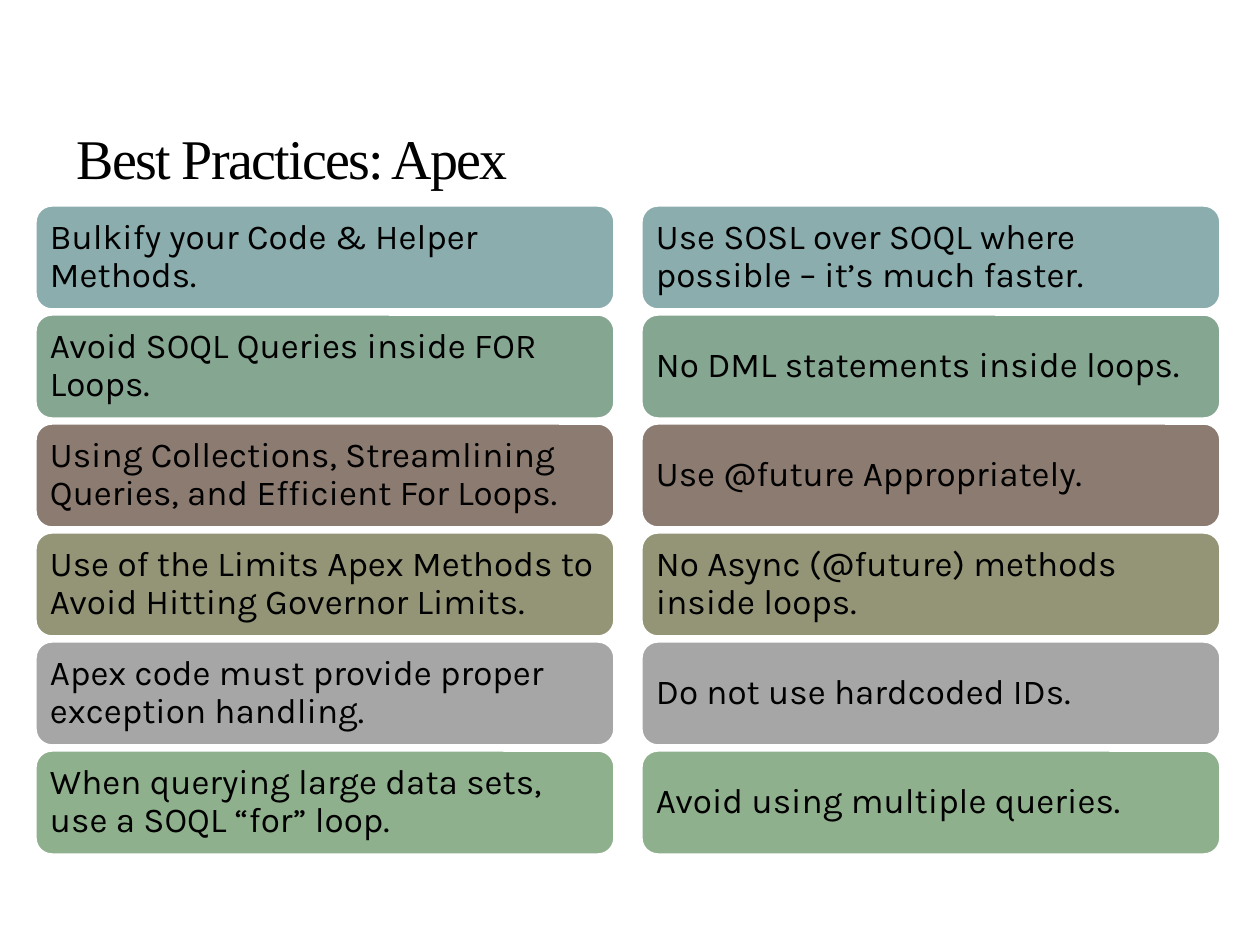
from dataclasses import dataclass

from pptx import Presentation
from pptx.dml.color import RGBColor
from pptx.enum.shapes import MSO_SHAPE
from pptx.enum.text import MSO_ANCHOR, MSO_AUTO_SIZE, PP_ALIGN
from pptx.util import Emu, Inches, Pt

SCALE = Inches(1) // 126  # EMU in one px
HEX = {
    "ink": "000000", "edge": "FFFFFF", "teal": "8CADAE", "sage": "85A691",
    "brown": "8C7B70", "olive": "949576", "grey": "A6A6A6", "green": "8FB08C",
}

# Grid of cards, in px
LEFT, TOP, WIDTH, HEIGHT = 35, 205, 580, 105
STEP_X, STEP_Y = 606, 109
RADIUS, PAD = 17, 10


@dataclass
class Row:
    fill: str
    tips: tuple[str, str]


ROWS = [
    Row("teal", ("Bulkify your Code & Helper Methods.",
                 "Use SOSL over SOQL where possible – it’s much faster.")),
    Row("sage", ("Avoid SOQL Queries inside FOR Loops.",
                 "No DML statements inside loops.")),
    Row("brown", ("Using Collections, Streamlining Queries, and Efficient For Loops.",
                  "Use @future Appropriately.")),
    Row("olive", ("Use of the Limits Apex Methods to Avoid Hitting Governor Limits.",
                  "No Async (@future) methods inside loops.")),
    Row("grey", ("Apex code must provide proper exception handling.",
                 "Do not use hardcoded IDs.")),
    Row("green", ("When querying large data sets, use a SOQL “for” loop.",
                  "Avoid using multiple queries.")),
]


def px(size: int) -> Emu:
    return Emu(size * SCALE)


def color(name: str) -> RGBColor:
    return RGBColor.from_string(HEX[name])


def write(shape, text: str, *, font: str, size: int, lines: float = 1.0,
          after: int = 0, track: int = 0) -> None:
    """Put one left-aligned paragraph in the middle of a shape."""
    frame = shape.text_frame
    frame.word_wrap = True
    frame.auto_size = MSO_AUTO_SIZE.NONE
    frame.vertical_anchor = MSO_ANCHOR.MIDDLE
    para = frame.paragraphs[0]
    para.alignment = PP_ALIGN.LEFT
    para.line_spacing = lines
    para.space_after = Pt(after)
    run = para.add_run()
    run.text = text
    run.font.name = font
    run.font.size = Pt(size)
    run.font.color.rgb = color("ink")
    if track:
        run.font._element.set("spc", str(track))


def card(slide, x: int, y: int, text: str, fill: str) -> None:
    box = slide.shapes.add_shape(
        MSO_SHAPE.ROUNDED_RECTANGLE, px(x), px(y), px(WIDTH), px(HEIGHT))
    box.adjustments[0] = RADIUS / HEIGHT
    box.shadow.inherit = False
    box.fill.solid()
    box.fill.fore_color.rgb = color(fill)
    box.line.color.rgb = color("edge")
    box.line.width = Pt(2)
    frame = box.text_frame
    frame.margin_left = frame.margin_right = px(PAD)
    frame.margin_top = frame.margin_bottom = px(PAD)
    write(box, text, font="Karla", size=20, lines=0.9, after=8)


def main() -> None:
    deck = Presentation()
    deck.slide_width, deck.slide_height = Inches(10), Inches(7.5)
    slide = deck.slides.add_slide(deck.slide_layouts[5])

    # Title
    title = slide.shapes.title
    title.left, title.top = px(64), px(115)
    title.width, title.height = px(1134), px(84)
    write(title, "Best Practices: Apex", font="Times New Roman", size=32, track=-100)

    # Two columns of cards, one colour to a row
    for col in range(2):
        for i, row in enumerate(ROWS):
            card(slide, LEFT + col * STEP_X, TOP + i * STEP_Y, row.tips[col], row.fill)

    deck.save("out.pptx")


if __name__ == "__main__":
    main()
